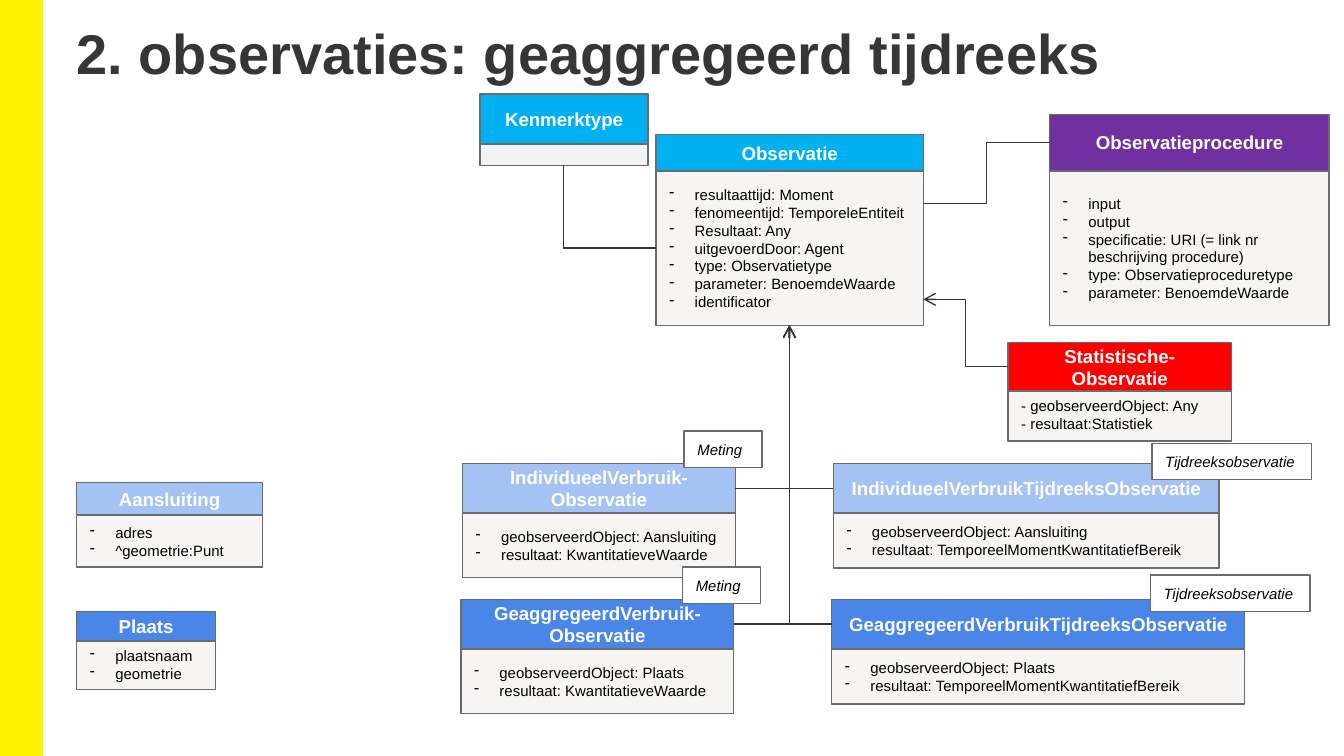
from lxml import etree
from pptx import Presentation
from pptx.dml.color import RGBColor
from pptx.enum import shapes, text
from pptx.oxml import ns
from pptx.util import Cm, Pt

TITLE = "2. observaties: geaggregeerd tijdreeks"
CYAN, BLUE, PURPLE, RED = "00B0F0", "4A86E8", "7030A0", "FF0000"
BODY, BORDER, LINE = "F6F5F3", "6B6B6B", "363535"

CLASSES = [
    dict(name="Observatie", color=CYAN, left=12.4, top=2.54, width=5.05, head=0.69,
         body_top=3.23, body=2.92,
         fields=["resultaattijd: Moment", "fenomeentijd: TemporeleEntiteit", "Resultaat: Any",
                 "uitgevoerdDoor: Agent", "type: Observatietype",
                 "parameter: BenoemdeWaarde", "identificator"]),
    dict(name="Observatieprocedure", color=PURPLE, left=19.84, top=2.16, width=5.28, head=1.07,
         body_top=3.23, body=2.92,
         fields=["input", "output", "specificatie: URI (= link nr beschrijving procedure)",
                 "type: Observatieproceduretype", "parameter: BenoemdeWaarde"]),
    dict(name="IndividueelVerbruik-Observatie", color=BLUE, opacity=50, left=8.74, top=8.76,
         width=5.16, head=0.94, body_top=9.7, body=1.22,
         fields=["geobserveerdObject: Aansluiting", "resultaat: KwantitatieveWaarde"]),
    dict(name="IndividueelVerbruikTijdreeksObservatie", color=BLUE, opacity=50, left=15.75,
         top=8.76, width=7.29, head=0.94, body_top=9.7, body=1.04,
         fields=["geobserveerdObject: Aansluiting",
                 "resultaat: TemporeelMomentKwantitatiefBereik"]),
    dict(name="Statistische-Observatie", color=RED, left=19.05, top=6.48, width=4.22, head=0.91,
         body_top=7.32, body=1.02, bullet=None,
         fields=["- geobserveerdObject: Any", "- resultaat:Statistiek"]),
    dict(name="Kenmerktype", color=CYAN, left=9.07, top=1.78, width=3.18, head=0.94,
         body_top=2.72, body=0.41, body_color="F2F2F2", fields=[]),
    dict(name="GeaggregeerdVerbruik-Observatie", color=BLUE, left=8.71, top=11.33, width=5.16,
         head=0.94, body_top=12.27, body=1.22,
         fields=["geobserveerdObject: Plaats", "resultaat: KwantitatieveWaarde"]),
    dict(name="GeaggregeerdVerbruikTijdreeksObservatie", color=BLUE, left=15.72, top=11.33,
         width=7.8, head=0.94, body_top=12.27, body=1.04,
         fields=["geobserveerdObject: Plaats", "resultaat: TemporeelMomentKwantitatiefBereik"]),
    dict(name="Plaats", color=BLUE, left=1.45, top=11.56, width=2.62, head=0.56,
         body_top=12.07, body=0.97, fields=["plaatsnaam", "geometrie"]),
    dict(name="Aansluiting", color=BLUE, opacity=50, left=1.45, top=9.12, width=3.51, head=0.61,
         body_top=9.75, body=0.97, fields=["adres", "^geometrie:Punt"]),
]
STEREOTYPES = [
    ("Meting", 12.93, 8.15, 1.47),
    ("Tijdreeksobservatie", 21.77, 8.38, 3.02),
    ("Meting", 12.9, 10.72, 1.47),
    ("Tijdreeksobservatie", 21.74, 10.87, 3.02),
]
OBSERVATION_FOOT = (14.92, 6.15)
RELATIONS = [
    ((17.45, 3.85), (19.84, 2.69), "bentConnector3", False),
    ((12.4, 4.69), (10.65, 3.13), "bentConnector2", False),
    ((19.05, 6.93), (17.45, 5.66), "bentConnector3", True),
    ((13.9, 9.23), OBSERVATION_FOOT, "bentConnector2", True),
    ((15.75, 9.23), OBSERVATION_FOOT, "bentConnector2", True),
    ((13.87, 11.8), OBSERVATION_FOOT, "bentConnector2", True),
    ((15.72, 11.8), OBSERVATION_FOOT, "bentConnector2", True),
]


def rgb(value):
    return RGBColor.from_string(value)


def add_child(parent, tag, **attributes):
    return etree.SubElement(parent, ns.qn(tag), attributes)


def write(frame, lines, size=8, color="000000", bold=False, italic=False, align="LEFT",
          bullet=None, anchor="MIDDLE", inset=(0.25, 0.25)):
    frame.word_wrap = True
    frame.vertical_anchor = getattr(text.MSO_ANCHOR, anchor)
    frame.margin_left = frame.margin_right = Cm(inset[0])
    frame.margin_top = frame.margin_bottom = Cm(inset[1])
    for index, line in enumerate(lines):
        paragraph = frame.add_paragraph() if index else frame.paragraphs[0]
        paragraph.alignment = getattr(text.PP_ALIGN, align)
        if bullet:
            properties = paragraph._p.get_or_add_pPr()
            properties.set("marL", str(Cm(0.48)))
            properties.set("indent", str(-Cm(0.48)))
            add_child(add_child(properties, "a:buClr"), "a:srgbClr", val=color)
            add_child(properties, "a:buChar", char=bullet)
        run = paragraph.add_run()
        run.text = line
        font = run.font
        font.name, font.size, font.bold, font.italic = "Arial", Pt(size), bold, italic
        font.color.rgb = rgb(color)


def add_box(slide, left, top, width, height, fill, border=BORDER, weight=0.75, opacity=100):
    box = slide.shapes.add_shape(shapes.MSO_SHAPE.RECTANGLE,
                                 Cm(left), Cm(top), Cm(width), Cm(height))
    box.shadow.inherit = False
    box.fill.solid()
    box.fill.fore_color.rgb = rgb(fill)
    if opacity < 100:
        fill_color = box._element.spPr.find(ns.qn("a:solidFill"))[0]
        add_child(fill_color, "a:alpha", val=str(opacity * 1000))
    box.line.color.rgb = rgb(border)
    box.line.width = Pt(weight)
    return box


def add_class(slide, name, color, left, top, width, head, body_top, body, fields,
              opacity=100, bullet="-", body_color=BODY):
    attributes = add_box(slide, left, body_top, width, body, body_color)
    write(attributes.text_frame, fields, bullet=bullet)
    header = add_box(slide, left, top, width, head, color, opacity=opacity)
    write(header.text_frame, [name], size=10, color="FFFFFF", bold=True, align="CENTER")


def add_relation(slide, start, end, bend, arrow):
    relation = slide.shapes.add_connector(shapes.MSO_CONNECTOR.ELBOW,
                                          *[Cm(value) for value in start + end])
    relation.line.color.rgb = rgb(LINE)
    relation.line.width = Pt(0.75)
    properties = relation._element.spPr
    properties.find(ns.qn("a:prstGeom")).set("prst", bend)
    if arrow:
        add_child(properties.find(ns.qn("a:ln")), "a:tailEnd", type="arrow")
    add_child(properties, "a:effectLst")


def main():
    deck = Presentation()
    deck.slide_width, deck.slide_height = Cm(25.4), Cm(14.29)
    slide = deck.slides.add_slide(deck.slide_layouts[6])

    add_box(slide, 0, 0, 0.79, 14.29, "FFF200", border="FFF200", weight=1)
    title = slide.shapes.add_textbox(Cm(1.27), Cm(0.25), Cm(23.5), Cm(1.52))
    write(title.text_frame, [TITLE], size=30, color="373636", bold=True,
          anchor="TOP", inset=(0.18, 0.1))
    for entry in CLASSES:
        add_class(slide, **entry)
    for label, left, top, width in STEREOTYPES:
        stereotype = add_box(slide, left, top, width, 0.69, "FFFFFF")
        write(stereotype.text_frame, [label], italic=True)
    for relation in RELATIONS:
        add_relation(slide, *relation)
    deck.save("out.pptx")


if __name__ == "__main__":
    main()
